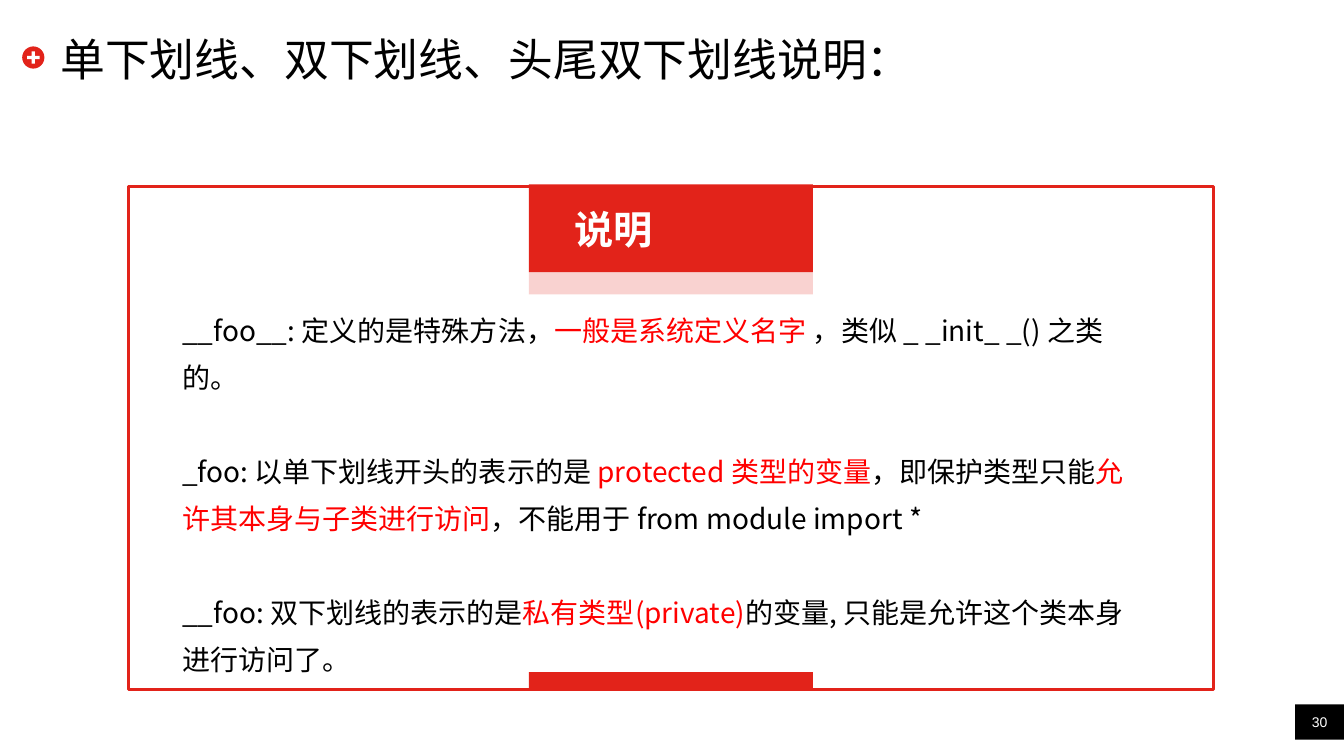
from lxml import etree
from pptx import Presentation
from pptx.dml.color import RGBColor
from pptx.enum.shapes import MSO_SHAPE
from pptx.enum.text import MSO_ANCHOR, PP_ALIGN
from pptx.oxml.ns import qn
from pptx.util import Cm, Pt

RECT, OVAL, CROSS = MSO_SHAPE.RECTANGLE, MSO_SHAPE.OVAL, MSO_SHAPE.CROSS
TOP, MIDDLE = MSO_ANCHOR.TOP, MSO_ANCHOR.MIDDLE
LEFT, CENTER = PP_ALIGN.LEFT, PP_ALIGN.CENTER

TITLE = "单下划线、双下划线、头尾双下划线说明："
LABEL = "说明"
PAGE = "30"
NOTES = [
    [("__foo__: 定义的是特殊方法，", "ink"), ("一般是系统定义名字", "mark"),
     (" ，类似 _ _init_ _() 之类的。", "ink")],
    [("_foo: 以单下划线开头的表示的是", "ink"), (" protected 类型的变量", "mark"),
     ("，即保护类型只能", "ink"), ("允许其本身与子类进行访问", "mark"),
     ("，不能用于 from module import *", "ink")],
    [("__foo: 双下划线的表示的是", "ink"), ("私有类型(private)", "mark"),
     ("的变量, 只能是允许这个类本身进行访问了。", "ink")],
]

THEME = {
    "ink": "000000", "mark": "FF0000", "red": "E2231A", "pale": "F4A6A2",
    "white": "FFFFFF", "sans": "Noto Sans CJK SC", "plain": "Arial",
    "title": 32, "label": 28, "body": 20, "page": 10, "gap": 33.6, "line": 2,
}

WIDE, HIGH = 33.87, 19.05
FRAME = (3.23, 4.7, 27.36, 12.67)
TAB_W, TAB_Y, TAB_H = 7.16, 4.65, 2.21
SHADE_H, FOOT_H = 0.56, 0.43
ICON = (0.56, 1.17, 0.56)

deck = Presentation()
deck.slide_width, deck.slide_height = Cm(WIDE), Cm(HIGH)
slide = deck.slides.add_slide(deck.slide_layouts[6])


def color(name):
    return RGBColor.from_string(THEME[name])


def shape(kind, box, fill=None, line=None, alpha=None):
    item = slide.shapes.add_shape(kind, *map(Cm, box))
    item.shadow.inherit = False
    if fill:
        item.fill.solid()
        item.fill.fore_color.rgb = color(fill)
    else:
        item.fill.background()
    if line:
        item.line.color.rgb = color(line)
        item.line.width = Pt(THEME["line"])
    else:
        item.line.fill.background()
    if alpha:
        tone = item.fill._xPr.find(".//" + qn("a:srgbClr"))
        etree.SubElement(tone, qn("a:alpha"), val=str(alpha * 1000))
    return item


def write(item, paras, size, font="sans", bold=None, align=LEFT,
          anchor=MIDDLE, pad=(0, 0, 0, 0), lines=None, gap=0):
    frame = item.text_frame
    frame.word_wrap = True
    frame.vertical_anchor = anchor
    (frame.margin_left, frame.margin_top,
     frame.margin_right, frame.margin_bottom) = map(Cm, pad)
    for i, runs in enumerate(paras):
        para = frame.add_paragraph() if i else frame.paragraphs[0]
        para.alignment = align
        if lines:
            para.line_spacing = lines
        if i and gap:
            para.space_before = Pt(gap)
        for text, tint in runs:
            run = para.add_run()
            run.text = text
            run.font.size = Pt(THEME[size])
            run.font.bold = bold
            run.font.color.rgb = color(tint)
            run.font.name = THEME[font]
            etree.SubElement(run.font._element, qn("a:ea"), typeface=THEME[font])


def label(box, paras, size, **form):
    write(slide.shapes.add_textbox(*map(Cm, box)), paras, size, **form)


number = shape(RECT, (32.64, 17.75, WIDE - 32.64, 0.89), "ink")
write(number, [[(PAGE, "white")]], "page", font="plain", align=CENTER)

x, y, side = ICON
inset = side * 0.22
shape(OVAL, (x, y, side, side), "red")
plus = shape(CROSS, (x + inset, y + inset, side - 2 * inset, side - 2 * inset), "white")
plus.adjustments[0] = 0.37

shape(RECT, FRAME, line="red")
label((1.52, 0.76, 30.76, 1.45), [[(TITLE, "ink")]], "title")

left, top, width, height = FRAME
tab_x = left + (width - TAB_W) / 2
shape(RECT, (tab_x, TAB_Y + TAB_H, TAB_W, SHADE_H), "pale", alpha=50)
tab = shape(RECT, (tab_x, TAB_Y, TAB_W, TAB_H), "red")
write(tab, [[(LABEL, "white")]], "label", bold=True, pad=(1.14, 0.13, 0.25, 0.13))
shape(RECT, (tab_x, top + height - FOOT_H, TAB_W, FOOT_H), "red")

label((4.34, 7.44, 24.28, 8.64), NOTES, "body", anchor=TOP,
      pad=(0.25, 0.13, 0.25, 0.13), lines=1.4, gap=THEME["gap"])

deck.save("out.pptx")
